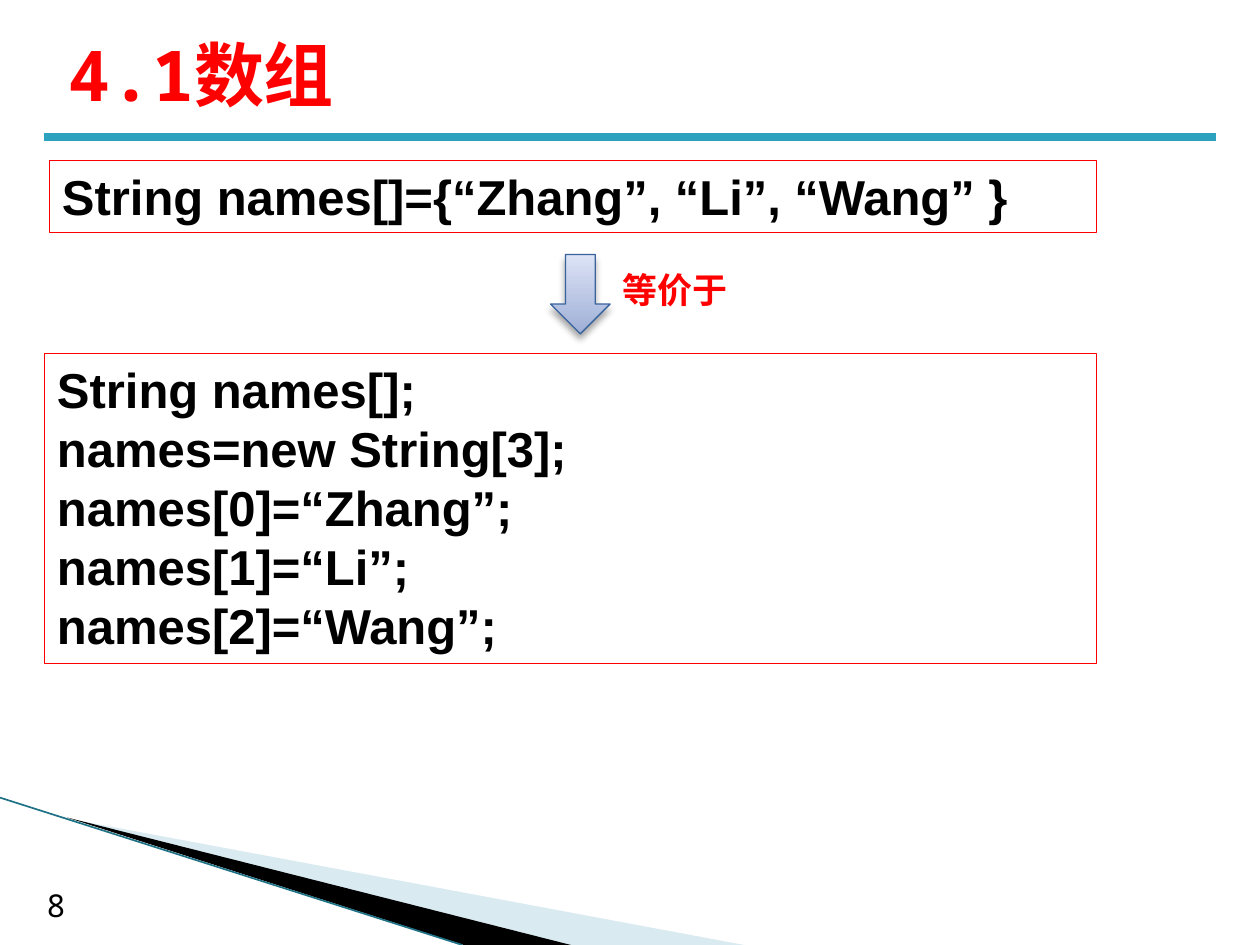
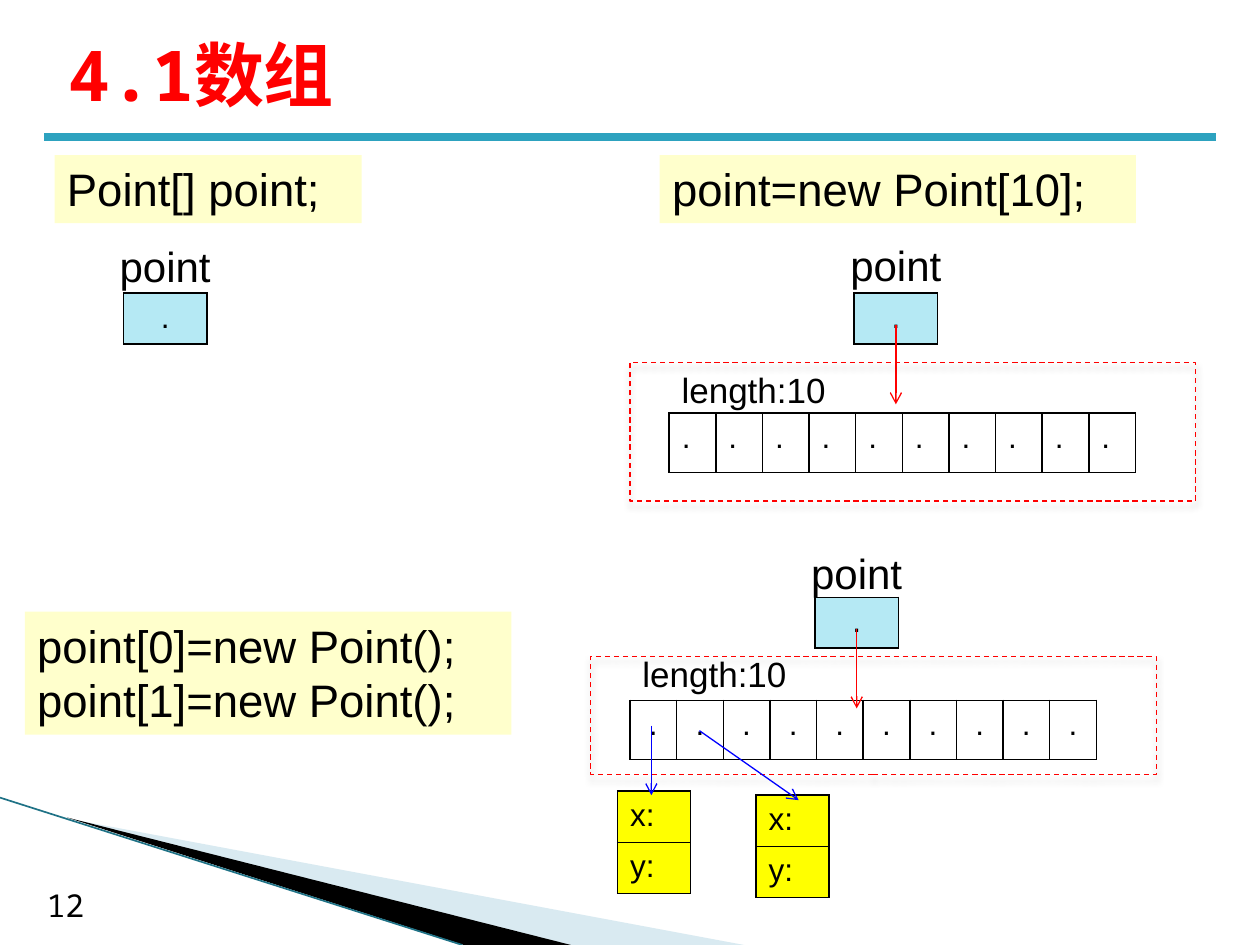
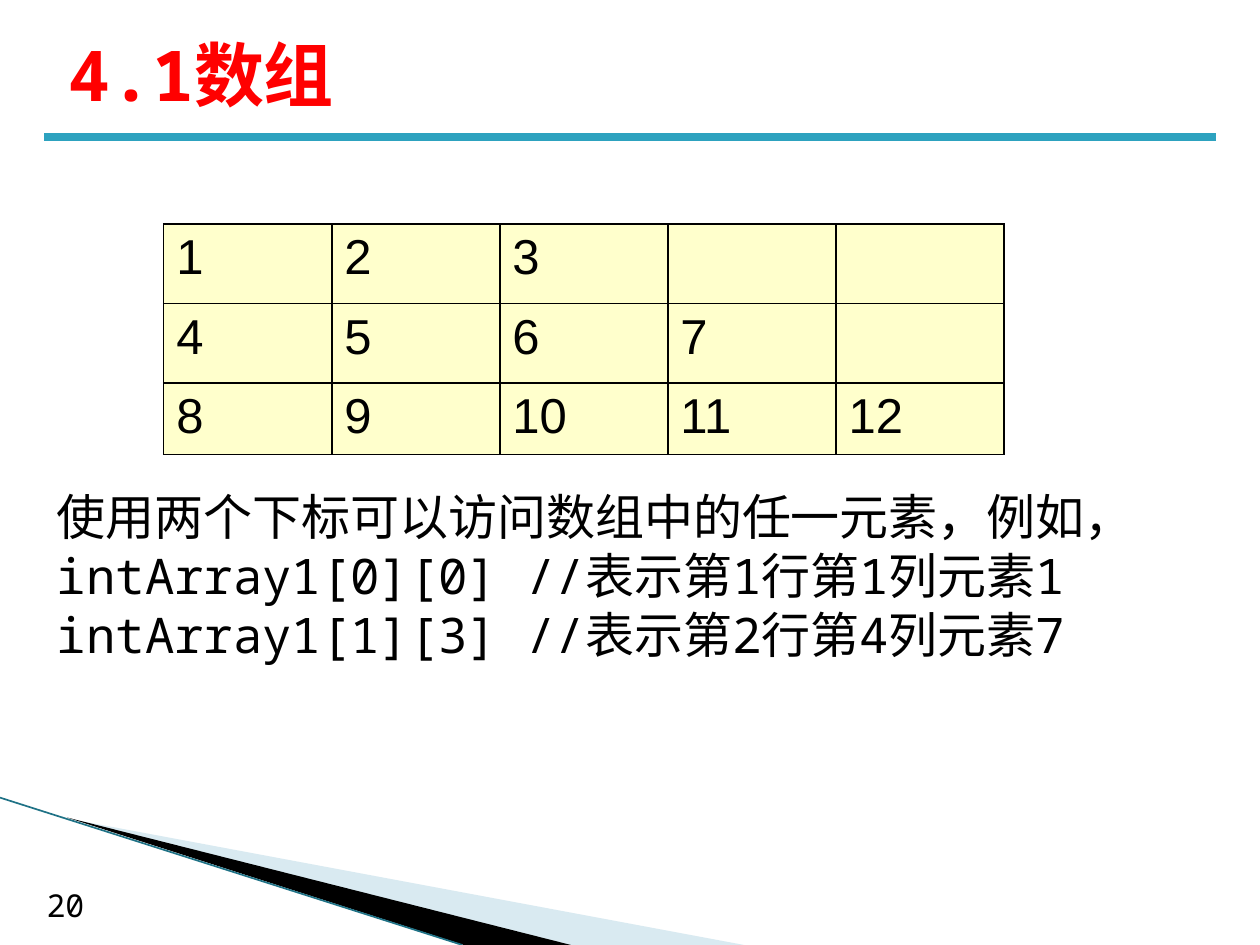
from dataclasses import dataclass
from typing import NamedTuple

from lxml.etree import SubElement
from pptx import Presentation
from pptx.dml.color import RGBColor as Rgb
from pptx.enum.dml import MSO_LINE as Dash
from pptx.enum.shapes import MSO_CONNECTOR as Link, MSO_SHAPE as Preset
from pptx.enum.text import MSO_ANCHOR as Anchor, MSO_AUTO_SIZE as Fit, PP_ALIGN as Align
from pptx.oxml.ns import qn
from pptx.util import Cm, Pt


@dataclass(frozen=True)
class Theme:
    sans: str = "Arial"
    mono: str = "Noto Sans Mono"
    ink: str = "000000"
    red: str = "FF0000"
    blue: str = "0000FF"
    rule: str = "2DA2BF"
    edge: str = "1F7286"
    wedge: str = "A0CBDC"
    cream: str = "FFFFCC"
    reference: str = "B5E9F4"
    instance: str = "FFFF00"
    arrow_line: str = "39639D"
    arrow_dark: str = "9FAFD6"
    arrow_light: str = "DCE3F6"
    title: int = 40
    body: int = 28
    code: int = 26
    name: int = 24
    label: int = 20
    small: int = 18
    hairline: float = 0.75


THEME = Theme()


class Box(NamedTuple):
    left: float
    top: float
    width: float = 0
    height: float = 0

    def place(self, left, top, width=0, height=0):
        return Box(self.left + left, self.top + top, width, height)

    def lengths(self):
        return [Cm(value) for value in self]


def assign(target, values):
    for name, value in values.items():
        setattr(target, name, value)


def write(frame, lines, size, font=THEME.sans, color=THEME.ink, bold=False, align=Align.LEFT):
    for index, line in enumerate(lines):
        para = frame.add_paragraph() if index else frame.paragraphs[0]
        para.alignment = align
        span = para.add_run()
        span.text = line
        assign(span.font, {"name": font, "size": Pt(size), "bold": bold})
        span.font.color.rgb = Rgb.from_string(color)


def write_growing(shape, lines, size, **style):
    assign(shape.text_frame, {
        "word_wrap": True, "auto_size": Fit.SHAPE_TO_FIT_TEXT, "vertical_anchor": Anchor.TOP,
    })
    write(shape.text_frame, lines, size, **style)


def add_text(shapes, box, lines, size, **style):
    write_growing(shapes.add_textbox(*box.lengths()), lines, size, **style)


def paint(shape, fill=None, line=None, dash=None):
    shape.shadow.inherit = False
    if fill:
        shape.fill.solid()
        shape.fill.fore_color.rgb = Rgb.from_string(fill)
    else:
        shape.fill.background()
    if line:
        shape.line.color.rgb = Rgb.from_string(line)
        assign(shape.line, {"width": Pt(THEME.hairline), "dash_style": dash})
    else:
        shape.line.fill.background()


def add_code(page, box, lines, size, fill=None, line=None, bold=False):
    panel = page.shapes.add_shape(Preset.RECTANGLE, *box.lengths())
    paint(panel, fill, line)
    write_growing(panel, lines, size, bold=bold)


def cast_shadow(shape):
    effects = shape.element.spPr.find(qn("a:effectLst"))
    shadow = SubElement(effects, qn("a:outerShdw"), {
        "blurRad": str(Pt(4)), "dist": str(Pt(3)), "dir": "5400000", "rotWithShape": "0",
    })
    color = SubElement(shadow, qn("a:srgbClr"), val=THEME.ink)
    SubElement(color, qn("a:alpha"), val="35000")


def add_line(page, start, end, color, width=THEME.hairline, arrow=False):
    ends = [Cm(value) for value in (*start, *end)]
    line = page.shapes.add_connector(Link.STRAIGHT, *ends)
    line.line.color.rgb = Rgb.from_string(color)
    line.line.width = Pt(width)
    if arrow:
        SubElement(line.line._get_or_add_ln(), qn("a:tailEnd"), type="arrow")
    SubElement(line.element.spPr, qn("a:effectLst"))


def add_wedge(page, points, color, opacity=None):
    corners = [(Cm(left), Cm(top)) for left, top in points]
    builder = page.shapes.build_freeform(*corners[0], scale=1.0)
    builder.add_line_segments(corners[1:], close=True)
    wedge = builder.convert_to_shape()
    paint(wedge, color)
    if opacity:
        solid = wedge.element.spPr.find(qn("a:solidFill"))
        SubElement(solid[0], qn("a:alpha"), val=str(opacity * 1000))


def outline_cell(cell):
    properties = cell._tc.get_or_add_tcPr()
    for side in ("lnL", "lnR", "lnT", "lnB"):
        border = SubElement(properties, qn(f"a:{side}"), w=str(Pt(1)))
        solid = SubElement(border, qn("a:solidFill"))
        SubElement(solid, qn("a:srgbClr"), val=THEME.ink)


def add_grid(page, box, rows, heights, size=THEME.small, fill=None, align=Align.LEFT):
    columns = len(rows[0])
    grid = page.shapes.add_table(len(rows), columns, *box.lengths()).table
    assign(grid, {"first_row": False, "horz_banding": False})
    for column in grid.columns:
        column.width = Cm(box.width / columns)
    for row, height, texts in zip(grid.rows, heights, rows):
        row.height = Cm(height)
        for cell, text in zip(row.cells, texts):
            outline_cell(cell)
            if fill:
                cell.fill.solid()
                cell.fill.fore_color.rgb = Rgb.from_string(fill)
            else:
                cell.fill.background()
            if text:
                write(cell.text_frame, [text], size, align=align)


def add_page(deck, number):
    page = deck.slides.add_slide(deck.slide_layouts[5])
    add_wedge(page, [(1.4, 16.51), (15, 19.05), (11.5, 19.05)], THEME.wedge, 40)
    add_wedge(page, [(1.35, 16.48), (11.51, 19.05), (9.35, 19.05)], THEME.ink)
    add_line(page, (0, 16.08), (9.32, 19.05), THEME.edge, 0.95)
    add_line(page, (0.89, 2.77), (24.51, 2.77), THEME.rule, 4.5)
    add_text(page.shapes, Box(0.69, 17.73, 1.4, 1.02), [str(number)], THEME.small, font=THEME.mono)
    title = page.shapes.title
    places = zip(("left", "top", "width", "height"), Box(1.12, 0.41, 22.86, 2.16).lengths())
    assign(title, dict(places))
    assign(title.text_frame, {"vertical_anchor": Anchor.MIDDLE, "auto_size": Fit.NONE})
    write(title.text_frame, ["4.1数组"], THEME.title, THEME.mono, THEME.red, True)
    return page


def add_equivalence(page, box):
    group = page.shapes.add_group_shape()
    arrow = group.shapes.add_shape(Preset.DOWN_ARROW, *box.place(0, 0, 1.2, 1.6).lengths())
    paint(arrow, line=THEME.arrow_line)
    arrow.fill.gradient()
    arrow.fill.gradient_angle = 90
    for stop, color in zip(arrow.fill.gradient_stops, (THEME.arrow_dark, THEME.arrow_light)):
        stop.color.rgb = Rgb.from_string(color)
    cast_shadow(arrow)
    add_text(group.shapes, box.place(1.2, 0.15, 3, 1.12), ["等价于"], THEME.label,
             color=THEME.red, bold=True)


def add_reference(page, box, name_rise):
    add_text(page.shapes, box.place(-0.66, -name_rise, 3, 1.28), ["point"], THEME.name,
             align=Align.CENTER)
    add_grid(page, box.place(0, 0, 1.68, 1.02), [["."]], [1.02],
             fill=THEME.reference, align=Align.CENTER)


def add_array(page, box, name_rise, frame_drop, length_drop, cells_drop, align):
    add_reference(page, box.place(4.52, 0), name_rise)
    add_text(page.shapes, box.place(0.79, length_drop, 3.9, 1.12), ["length:10"], THEME.label)
    add_grid(page, box.place(0.79, cells_drop, 9.4, 1.19), [["."] * 10], [1.19], align=align)
    add_line(page, box.place(5.36, 0.64)[:2], box.place(5.36, 2.24)[:2], THEME.red, arrow=True)
    heap = page.shapes.add_shape(
        Preset.RECTANGLE, *box.place(0, frame_drop, box.width, box.height).lengths())
    paint(heap, line=THEME.red, dash=Dash.DASH)
    cast_shadow(heap)


def add_instance(page, box, source, target):
    add_grid(page, box, [["x:"], ["y:"]], [box.height / 2] * 2, fill=THEME.instance)
    add_line(page, source, target, THEME.blue, arrow=True)


def build_initializer(deck):
    page = add_page(deck, 8)
    outlined = {"size": THEME.body, "line": THEME.red, "bold": True}
    add_code(page, Box(1, 3.24, 21.11, 1.45),
             ["String names[]={“Zhang”, “Li”, “Wang” }"], **outlined)
    add_code(page, Box(0.9, 7.13, 21.21, 6.25), [
        "String names[];", "names=new String[3];",
        "names[0]=“Zhang”;", "names[1]=“Li”;", "names[2]=“Wang”;",
    ], **outlined)
    add_equivalence(page, Box(11.1, 5.13))


def build_memory(deck):
    page = add_page(deck, 12)
    for box, lines in (
        (Box(1.1, 3.13, 6.19, 1.37), ["Point[] point;"]),
        (Box(13.3, 3.13, 9.6, 1.37), ["point=new Point[10];"]),
        (Box(0.5, 12.33, 9.81, 2.48), ["point[0]=new Point();", "point[1]=new Point();"]),
    ):
        add_code(page, box, lines, THEME.code, fill=THEME.cream)
    add_reference(page, Box(2.49, 5.91), 1.19)
    add_array(page, Box(12.7, 5.91, 11.4, 2.79), 1.21, 1.4, 1.4, 2.42, Align.LEFT)
    add_array(page, Box(11.91, 12.04, 11.4, 2.39), 1.12, 1.19, 0.99, 2.08, Align.CENTER)
    add_instance(page, Box(12.45, 15.95, 1.47, 2.06), (13.13, 14.63), (13.13, 16.03))
    add_instance(page, Box(15.24, 16.03, 1.47, 2.06), (14.1, 14.73), (16.1, 16.13))


def build_matrix(deck):
    page = add_page(deck, 20)
    rows = [
        ["1", "2", "3", "", ""],
        ["4", "5", "6", "7", ""],
        ["8", "9", "10", "11", "12"],
    ]
    add_grid(page, Box(3.3, 4.52, 16.94, 4.55), rows, [1.6, 1.6, 1.35], THEME.body, THEME.cream)
    add_text(page.shapes, Box(0.9, 9.68, 23.39, 3.84), [
        "使用两个下标可以访问数组中的任一元素，例如，",
        "intArray1[0][0] //表示第1行第1列元素1",
        "intArray1[1][3] //表示第2行第4列元素7",
    ], THEME.body, font=THEME.mono)


def main():
    deck = Presentation()
    assign(deck, {"slide_width": Cm(25.4), "slide_height": Cm(19.05)})
    for build in (build_initializer, build_memory, build_matrix):
        build(deck)
    deck.save("out.pptx")


if __name__ == "__main__":
    main()
